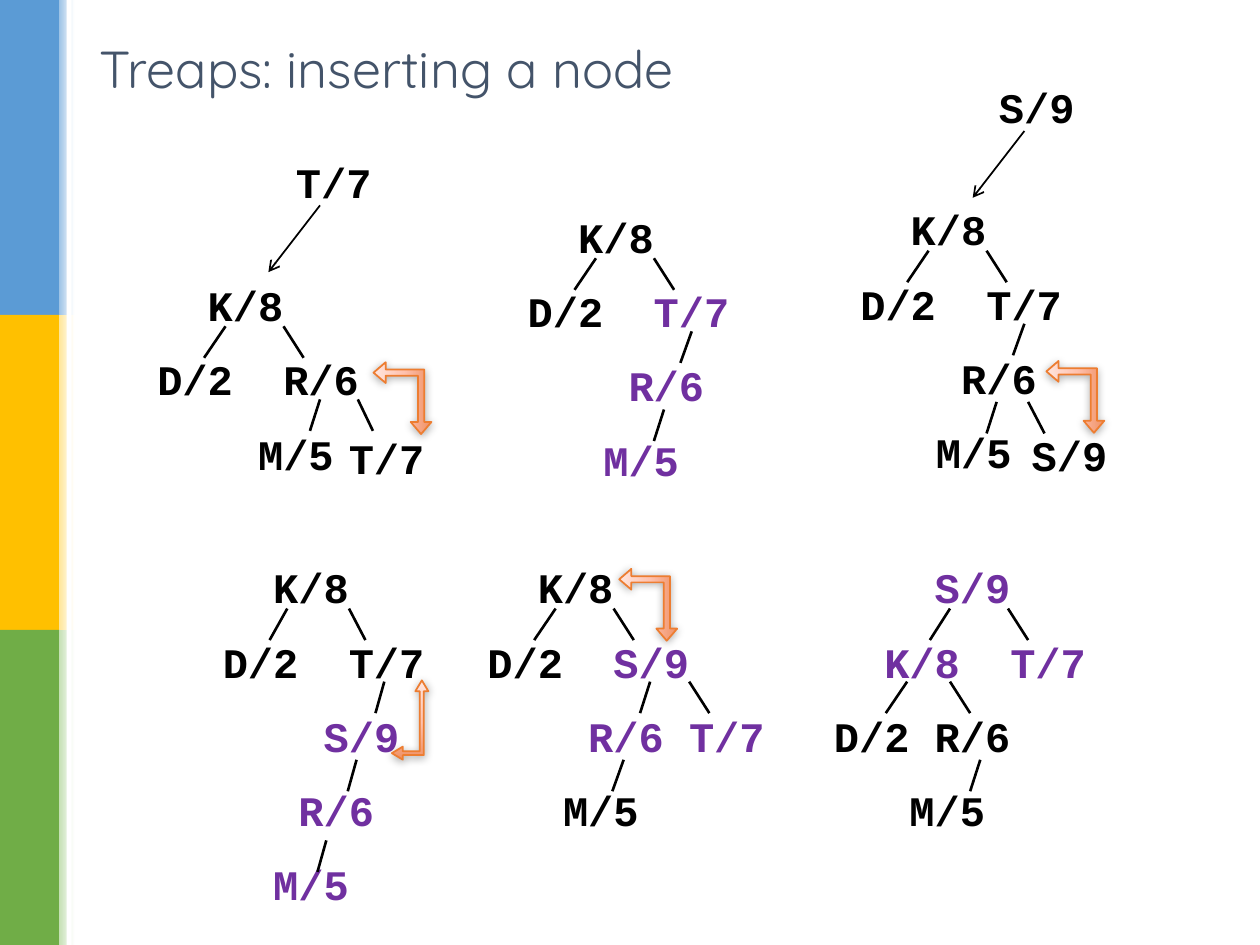
from lxml import etree
from copy import deepcopy
from pptx import Presentation, util as u
from pptx.dml.color import RGBColor
from pptx.enum import shapes, text
from pptx.oxml import parse_xml
from pptx.oxml.ns import qn, nsdecls

COLORS = {
    "ink": "000000", "moved": "7030A0", "title": "44546A", "white": "FFFFFF",
    "arrow": "ED7D31", "deep": "EF9166", "mid": "FFC2AF", "pale": "FFE6DF",
    "blue": "5B9BD5", "gold": "FFC000", "green": "70AD47",
    "light blue": "9DC3E6", "light gold": "FFE699", "light green": "C5E0B4",
}
RGB = {name: RGBColor.from_string(value) for name, value in COLORS.items()}
COLUMN = 0.2
ROW = 0.605

deck = Presentation()
deck.slide_width, deck.slide_height = u.Inches(10), u.Inches(7.5)
page = deck.slides.add_slide(deck.slide_layouts[5])


def add_block(kind, frame, stops, angle=0):
    block = page.shapes.add_shape(kind, *[u.Inches(length) for length in frame])
    block.shadow.inherit = False
    block.line.fill.background()
    if len(stops) == 1:
        block.fill.solid()
        block.fill.fore_color.rgb = RGB[stops[0][1]]
        return block
    block.fill.gradient()
    block.fill.gradient_angle = angle
    stop_list = block.element.spPr.find(".//" + qn("a:gsLst"))
    for _ in stops[2:]:
        stop_list.append(deepcopy(stop_list[0]))
    for stop, node, (position, color) in zip(block.fill.gradient_stops, stop_list, stops):
        stop.color.rgb = RGB[color]
        node.set("pos", str(position * 1000))
    return block


def add_line(start, end, width):
    line = page.shapes.add_connector(
        shapes.MSO_CONNECTOR.STRAIGHT, *[u.Inches(length) for length in start + end])
    line.line.color.rgb = RGB["ink"]
    line.line.width = u.Pt(width)
    etree.SubElement(line.element.spPr, qn("a:effectLst"))
    return line


rectangle = shapes.MSO_SHAPE.RECTANGLE
band = 7.5 / 3
for index, color in enumerate(("blue", "gold", "green")):
    add_block(rectangle, (0, index * band, 0.47, band), [(0, color)])
    add_block(rectangle, (0.47, index * band, 0.12, band),
              [(0, "light " + color), (100, "white")])
add_block(rectangle, (0.53, 0, 0.04, 7.5), [(0, "white")])

title = page.shapes.title
title.left, title.top, title.width, title.height = [
    u.Inches(length) for length in (0.69, 0.26, 8.74, 0.56)]
title.text_frame.text = "Treaps: inserting a node"
title.text_frame.vertical_anchor = text.MSO_ANCHOR.MIDDLE
title.text_frame.auto_size = text.MSO_AUTO_SIZE.NONE
para = title.text_frame.paragraphs[0]
para.alignment = text.PP_ALIGN.LEFT
para.font.name = "Quicksand"
para.font.size = u.Pt(29.7)
para.font.color.rgb = RGB["title"]

ink, moved = "ink", "moved"
root = [(3, "K/8", ink)]
root_edges = [(0, 0.84, 0.67), (0, 1.3, 1.46)]
edge_tops = (0.42, 1.0, 1.62, 2.26)

trees = [
    (0.95, 2.17, 2.86,
     [root, [(1, "D/2", ink), (6, "R/6", ink)], [(5, "M/5", ink)]],
     root_edges + [(1, 1.59, 1.51), (1, 1.89, 2.01)]),
    (3.89, 1.63, 2.86,
     [root, [(1, "D/2", ink), (6, "T/7", moved)], [(5, "R/6", moved)], [(4, "M/5", moved)]],
     root_edges + [(1, 1.6, 1.51), (2, 1.38, 1.3)]),
    (6.53, 1.57, 2.46,
     [root, [(1, "D/2", ink), (6, "T/7", ink)], [(5, "R/6", ink)], [(4, "M/5", ink)]],
     root_edges + [(1, 1.6, 1.51), (2, 1.38, 1.3), (2, 1.63, 1.76)]),
    (1.47, 4.41, 2.13,
     [root, [(1, "D/2", ink), (6, "T/7", ink)], [(5, "S/9", moved)],
      [(4, "R/6", moved)], [(3, "M/5", moved)]],
     [(0, 0.81, 0.67), (0, 1.3, 1.43), (1, 1.58, 1.51), (2, 1.36, 1.29), (3, 1.12, 1.05)]),
    (3.57, 4.41, 2.69,
     [root, [(1, "D/2", ink), (6, "S/9", moved)],
      [(5, "R/6", moved), (9, "T/7", moved)], [(4, "M/5", ink)]],
     root_edges + [(1, 1.59, 1.51), (2, 1.38, 1.29), (1, 1.9, 2.06)]),
    (6.52, 4.41, 2.24,
     [[(4, "S/9", moved)], [(2, "K/8", moved), (7, "T/7", moved)],
      [(0, "D/2", ink), (4, "R/6", ink)], [(3, "M/5", ink)]],
     [(0, 1.02, 0.86), (0, 1.48, 1.64), (1, 1.02, 1.18), (1, 0.68, 0.51), (2, 1.26, 1.18)]),
    (2.25, 1.19, 0.92, [[(0, "T/7", ink)]], []),
    (2.67, 3.38, 0.93, [[(0, "T/7", ink)]], []),
    (7.83, 0.6, 0.93, [[(0, "S/9", ink)]], []),
    (8.09, 3.36, 0.93, [[(0, "S/9", ink)]], []),
]
for left, top, width, rows, edges in trees:
    height = 0.51 + ROW * (len(rows) - 1)
    box = page.shapes.add_textbox(*[u.Inches(n) for n in (left, top, width, height)])
    frame = box.text_frame
    frame.word_wrap = True
    frame.auto_size = text.MSO_AUTO_SIZE.SHAPE_TO_FIT_TEXT
    for index, nodes in enumerate(rows):
        para = frame.add_paragraph() if index else frame.paragraphs[0]
        para.space_before = u.Pt(13.6 if index else 0)
        tabs = etree.SubElement(para._p.get_or_add_pPr(), qn("a:tabLst"))
        for column, label, color in nodes:
            if column:
                etree.SubElement(tabs, qn("a:tab"), pos=str(u.Inches(column * COLUMN)), algn="l")
            span = para.add_run()
            span.text = ("\t" if column else "") + label
            span.font.color.rgb = RGB[color]
        para.font.name = "Courier New"
        para.font.size = u.Pt(24)
        para.font.bold = True
    for level, start, end in edges:
        y = top + edge_tops[level]
        add_line((left + start, y), (left + end, y + 0.25), 1.5)

for x, y in ((2.54, 1.63), (8.13, 1.04)):
    pointer = add_line((x, y), (x - 0.41, y + 0.53), 1)
    etree.SubElement(pointer.element.spPr.find(qn("a:ln")), qn("a:tailEnd"), type="arrow")

swaps = [
    (2.91, 2.93, 0.57, 0.46, 270, 0.209),
    (8.25, 2.92, 0.57, 0.46, 270, 0.209),
    (3.11, 5.4, 0.29, 0.63, 0, 0.301),
    (4.86, 4.57, 0.57, 0.46, 270, 0.209),
]
for *frame, turn, head in swaps:
    swap = add_block(shapes.MSO_SHAPE.LEFT_UP_ARROW, frame,
                     [(0, "deep"), (48, "mid"), (100, "pale")], 90)
    swap.rotation = turn
    for index, share in enumerate((0.107, 0.179, head)):
        swap.adjustments[index] = share
    swap.line.color.rgb = RGB["arrow"]
    swap.line.width = u.Pt(1)
    swap.element.spPr.find(qn("a:effectLst")).append(parse_xml(
        f'<a:outerShdw {nsdecls("a")} blurRad="{u.Pt(5)}" dist="{u.Pt(1)}" dir="5400000" '
        f'rotWithShape="0"><a:srgbClr val="{COLORS["ink"]}"><a:alpha val="32000"/>'
        '</a:srgbClr></a:outerShdw>'))

deck.save("out.pptx")
